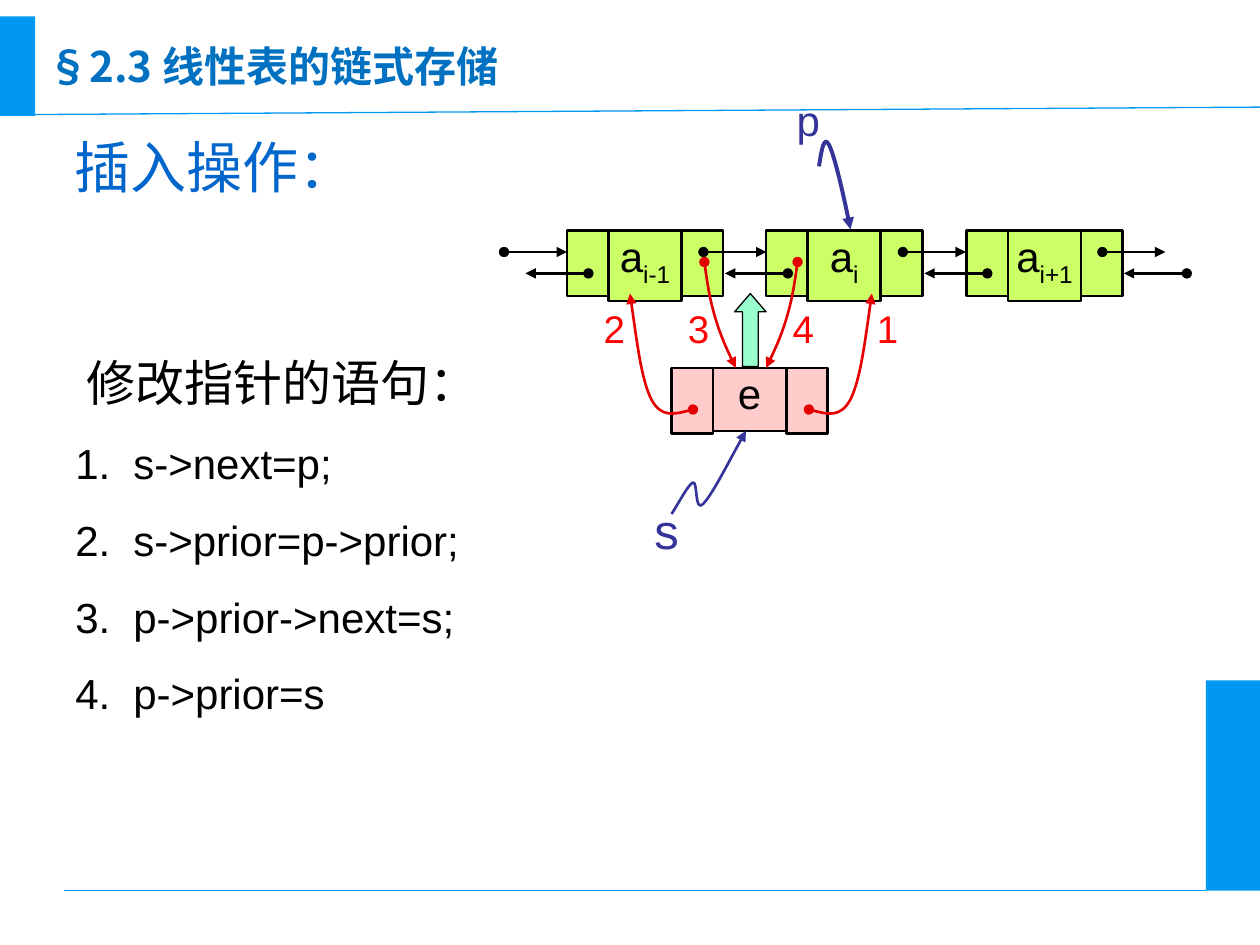
from lxml.etree import SubElement
from pptx import Presentation
from pptx.dml.color import RGBColor
from pptx.enum.shapes import MSO_CONNECTOR, MSO_SHAPE
from pptx.enum.text import MSO_ANCHOR, PP_ALIGN
from pptx.oxml.ns import qn
from pptx.util import Inches, Pt

BLACK = RGBColor(0x00, 0x00, 0x00)
LIME = RGBColor(0xCC, 0xFF, 0x66)
PINK = RGBColor(0xFF, 0xCC, 0xCC)
MINT = RGBColor(0x99, 0xFF, 0xCC)
NAVY = RGBColor(0x33, 0x33, 0x99)
RED = RGBColor(0xFF, 0x00, 0x00)
CRIMSON = RGBColor(0xE4, 0x00, 0x00)
AZURE = RGBColor(0x00, 0x98, 0xF0)
TITLE_BLUE = RGBColor(0x00, 0x70, 0xC0)
HEAD_BLUE = RGBColor(0x00, 0x66, 0xCC)
LATIN, CJK = "Arial", "Noto Sans CJK SC"

TITLE = "§2.3 线性表的链式存储"
HEADING = "插入操作："
LEAD = "修改指针的语句："
STATEMENTS = ["s->next=p;", "s->prior=p->prior;", "p->prior->next=s;", "p->prior=s"]

SIDE_W, DATA_W, SIDE_H = 0.33, 0.58, 0.52
NODES = [
    (4.5, 1.83, 0.56, LIME, "a", "i-1"),
    (6.08, 1.83, 0.56, LIME, "a", "i"),
    (7.67, 1.83, 0.56, LIME, "a", "i+1"),
]
NEW_NODE = (5.33, 2.92, 0.5, PINK, "e", "")
LINK_START, LINK_STEP, LINK_LEN = 4, 1.583, 0.5

S_CURVE = [(5.33, 4.08), (5.4, 3.97), (5.46, 3.85), (5.5, 3.83), (5.54, 3.82),
           (5.51, 4.07), (5.58, 4), (5.65, 3.93), (5.78, 3.67), (5.92, 3.42)]
P_CURVE = [(6.5, 1.32), (6.52, 1.19), (6.54, 1.07), (6.58, 1.15),
           (6.62, 1.23), (6.69, 1.52), (6.75, 1.82)]
OUTER = [(6.42, 3.25), (6.54, 3.28), (6.67, 3.32), (6.75, 3.17),
         (6.83, 3.01), (6.87, 2.67), (6.92, 2.33)]
INNER = [(6.33, 2.08), (6.31, 2.22), (6.29, 2.36), (6.25, 2.5),
         (6.21, 2.64), (6.15, 2.78), (6.08, 2.92)]
MIRROR_SUM = 11.92
STEPS = [("1", 6.92, OUTER, False), ("2", 4.75, OUTER, True),
         ("3", 5.42, INNER, True), ("4", 6.25, INNER, False)]


def style_line(shape, color, width, head=None, tail=None):
    shape.line.color.rgb = color
    shape.line.width = Pt(width)
    ln = shape.line._get_or_add_ln()
    for tag, kind in (("a:headEnd", head), ("a:tailEnd", tail)):
        if kind:
            SubElement(ln, qn(tag), type=kind)


def add_line(x1, y1, x2, y2, color, width, head=None, tail=None):
    c = s.shapes.add_connector(MSO_CONNECTOR.STRAIGHT, *map(Inches, (x1, y1, x2, y2)))
    style_line(c, color, width, head, tail)
    SubElement(c._element.spPr, qn("a:effectLst"))


def add_box(kind, x, y, w, h, fill, width=None):
    sp = s.shapes.add_shape(kind, *map(Inches, (x, y, w, h)))
    sp.shadow.inherit = False
    sp.fill.solid()
    sp.fill.fore_color.rgb = fill
    if width:
        style_line(sp, BLACK, width)
    else:
        sp.line.fill.background()
    return sp


def add_curve(points, color, width, head=None):
    start, *rest = [(Inches(x), Inches(y)) for x, y in points]
    fb = s.shapes.build_freeform(*start)
    fb.add_line_segments(rest, close=False)
    sp = fb.convert_to_shape()
    sp.shadow.inherit = False
    sp.fill.background()
    outline = next(sp._element.iter(qn("a:moveTo"))).getparent()
    segments = outline.findall(qn("a:lnTo"))
    for i in range(0, len(segments), 3):
        bezier = SubElement(outline, qn("a:cubicBezTo"))
        for segment in segments[i:i + 3]:
            bezier.append(segment[0])
            outline.remove(segment)
    style_line(sp, color, width, head, "triangle")


def set_frame(sp, left, top, right, bottom, wrap=True):
    tf = sp.text_frame
    tf.margin_left, tf.margin_top = Inches(left), Inches(top)
    tf.margin_right, tf.margin_bottom = Inches(right), Inches(bottom)
    tf.vertical_anchor = MSO_ANCHOR.TOP
    tf.word_wrap = wrap
    return tf


def add_run(p, text, size, color, font=LATIN, bold=False):
    r = p.add_run()
    r.text = text
    r.font.size, r.font.bold = Pt(size), bold
    r.font.name, r.font.color.rgb = font, color
    SubElement(r._r.get_or_add_rPr(), qn("a:ea"), typeface=CJK)
    return r


def add_text(x, y, w, h, pad=True, wrap=True):
    sp = s.shapes.add_textbox(*map(Inches, (x, y, w, h)))
    dx, dy = (0.1, 0.05) if pad else (0, 0)
    return set_frame(sp, dx, dy, dx, dy, wrap)


def add_label(text, x, y, w, h, size, color, pad=True, wrap=True, font=LATIN, bold=False):
    p = add_text(x, y, w, h, pad, wrap).paragraphs[0]
    p.alignment = PP_ALIGN.CENTER
    add_run(p, text, size, color, font, bold)


def add_node(x, y, h, fill, name, sub):
    data = add_box(MSO_SHAPE.RECTANGLE, x + SIDE_W, y, DATA_W, h, fill, 1.5)
    p = set_frame(data, 0, 0, 0, 0.1).paragraphs[0]
    p.alignment = PP_ALIGN.CENTER
    add_run(p, name, 24, BLACK)
    if sub:
        r = add_run(p, sub, 24, BLACK)
        r._r.get_or_add_rPr().set("baseline", "-25000")
    for side_x in (x + SIDE_W + DATA_W, x):
        add_box(MSO_SHAPE.RECTANGLE, side_x, y, SIDE_W, SIDE_H, fill, 1.5)


prs = Presentation()
prs.slide_width, prs.slide_height = Inches(10), Inches(7.5)
s = prs.slides.add_slide(prs.slide_layouts[6])

for node in NODES:
    add_node(*node)
for i in range(4):
    x = LINK_START + i * LINK_STEP
    add_line(x, 2, x + LINK_LEN, 2, BLACK, 1.5, "oval", "triangle")
    add_line(x + 0.67, 2.17, x + 0.67 - LINK_LEN, 2.17, BLACK, 1.5, "oval", "triangle")

add_node(*NEW_NODE)
arrow = add_box(MSO_SHAPE.UP_ARROW, 5.83, 2.33, 0.25, 0.58, MINT, 0.75)
arrow.adjustments[0], arrow.adjustments[1] = 0.5, 0.58

add_curve(S_CURVE, NAVY, 1.5)
add_label("s", 5, 3.92, 0.58, 0.57, 28, NAVY)
add_curve(P_CURVE, NAVY, 2.25)
add_label("p", 6.25, 0.75, 0.33, 0.4, 24, NAVY, pad=False)

tf = add_text(0.5, 2.75, 3.83, 3)
p = tf.paragraphs[0]
p._p.get_or_add_pPr().set("marL", str(Inches(0.09)))
add_run(p, LEAD, 28, BLACK)
for number, statement in enumerate(STATEMENTS, 1):
    p = tf.add_paragraph()
    p.space_before = Pt(15)
    pPr = p._p.get_or_add_pPr()
    pPr.set("marL", str(Inches(0.46)))
    pPr.set("indent", str(-Inches(0.46)))
    add_run(p, f"{number}.\t{statement}", 24, BLACK)

add_label(HEADING, 0.33, 1, 2.75, 0.64, 32, HEAD_BLUE)

for number, x, curve, mirrored in STEPS:
    points = [(MIRROR_SUM - px, py) for px, py in curve] if mirrored else curve
    add_curve(points, CRIMSON, 1.5, "oval")
    add_label(number, x, 2.42, 0.25, 0.37, 22, RED, pad=False)

add_box(MSO_SHAPE.RECTANGLE, 9.57, 5.4, 0.43, 1.67, AZURE)
add_line(0.14, 0.91, 10, 0.85, AZURE, 0.75)
add_line(0.51, 7.07, 9.57, 7.07, AZURE, 0.75)
add_box(MSO_SHAPE.RECTANGLE, 0, 0.13, 0.28, 0.79, AZURE)
add_label(TITLE, 0.19, 0.27, 3.95, 0.5, 24, TITLE_BLUE, wrap=False, font=CJK, bold=True)

prs.save("out.pptx")
